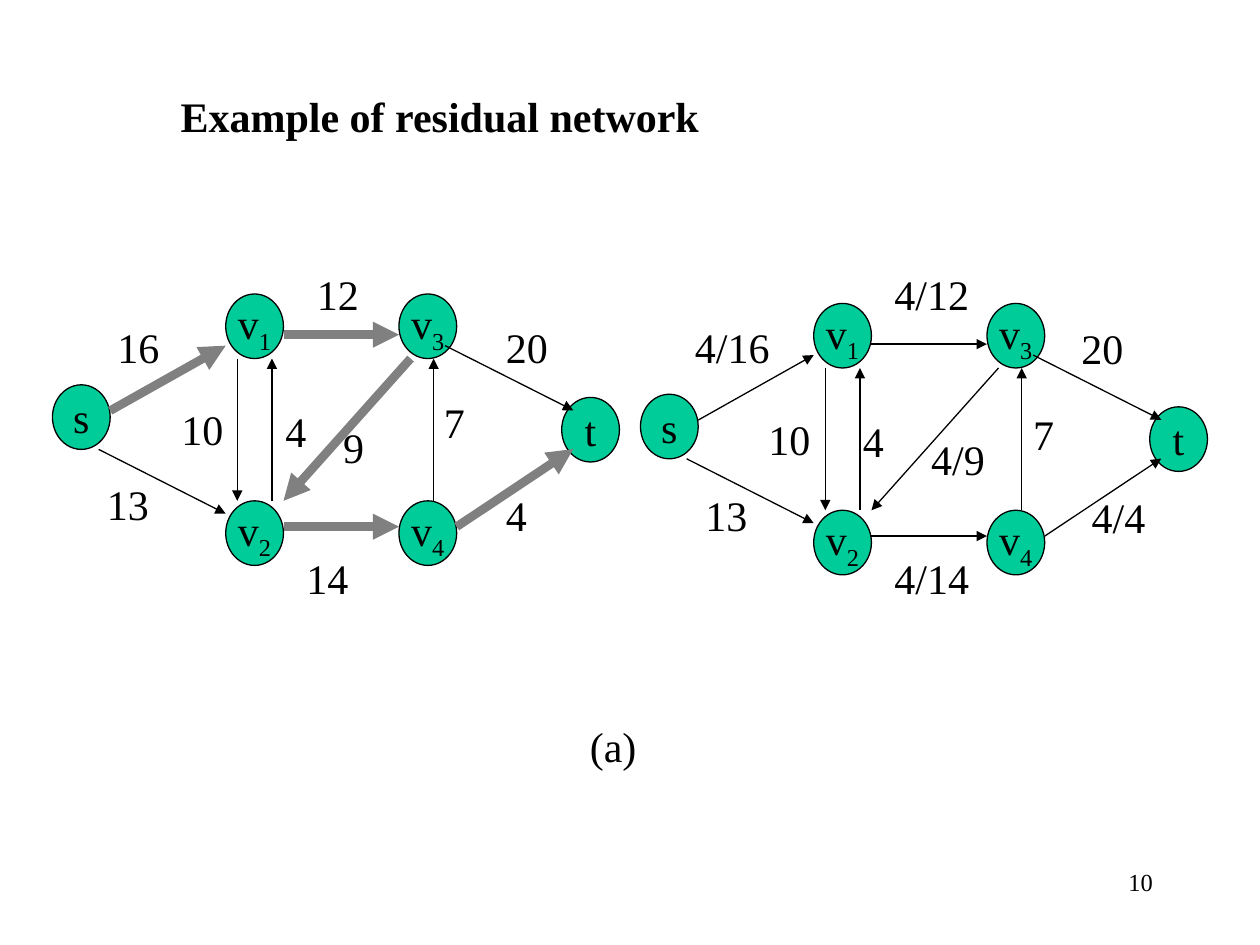
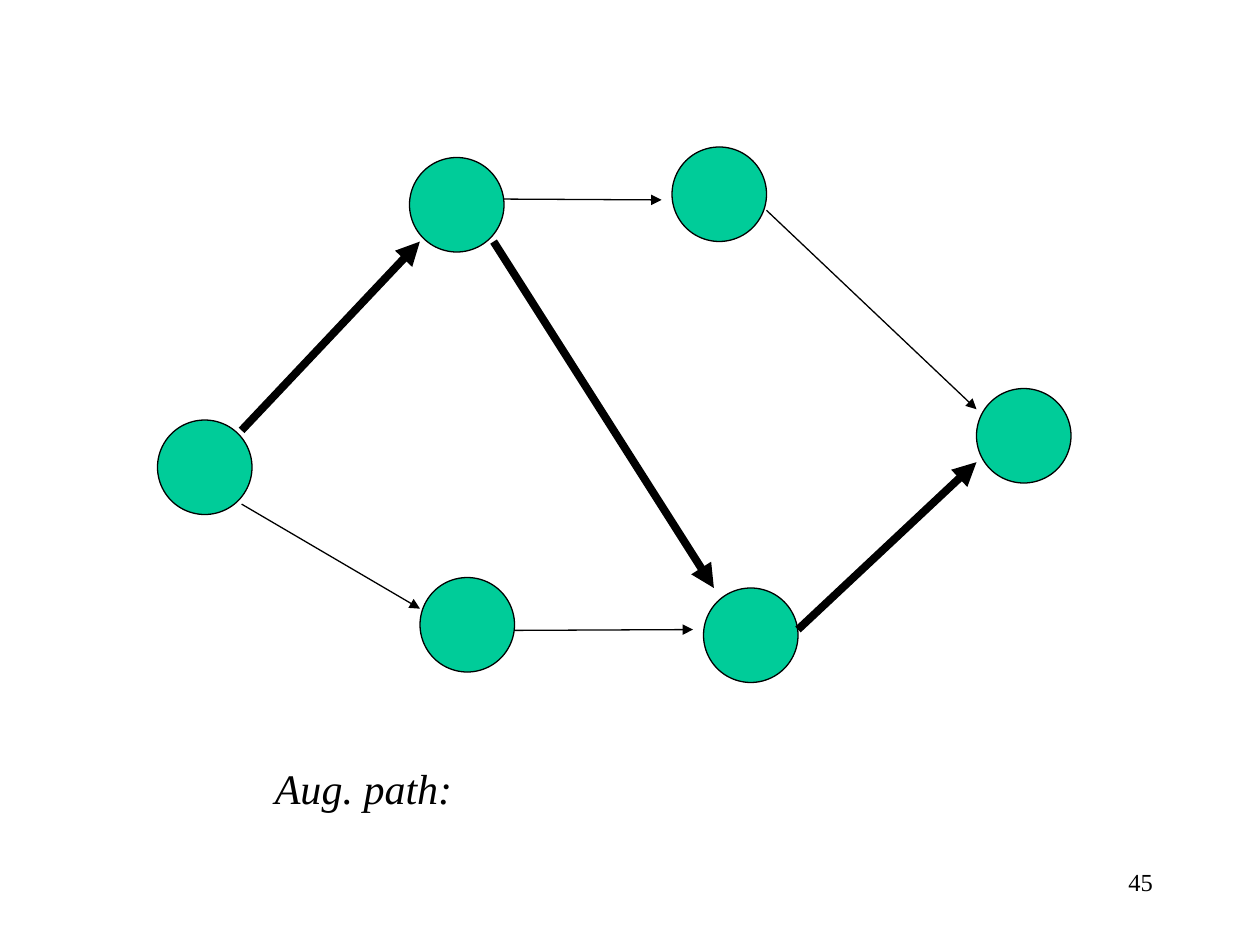
from lxml import etree
from pptx import Presentation
from pptx import util as u
from pptx.dml import color
from pptx.enum import shapes, text
from pptx.oxml import ns

COLS, ROWS = 120, 90
HUES = {"ink": "000000", "node": "00CC99", "path": "808080"}
FONT = {"name": "Times New Roman", "size": u.Pt(24)}
LEFT, MID, RIGHT = text.PP_ALIGN.LEFT, text.PP_ALIGN.CENTER, text.PP_ALIGN.RIGHT
TOP, CORE = text.MSO_ANCHOR.TOP, text.MSO_ANCHOR.MIDDLE
PADS = {"margin_left": u.Inches(0.1), "margin_right": u.Inches(0.1),
        "margin_top": u.Inches(0.05), "margin_bottom": u.Inches(0.05),
        "auto_size": text.MSO_AUTO_SIZE.NONE}

deck = Presentation()
deck.slide_width, deck.slide_height = u.Inches(10), u.Inches(7.5)
CELL_W, CELL_H = deck.slide_width / COLS, deck.slide_height / ROWS

FLOW = {
    "size": (5.5, 6.15),
    "nodes": {"s": (0, 8.65), "v1": (16.5, 0), "v3": (33, 0),
              "v2": (16.5, 19.7), "v4": (33, 19.7), "t": (48.5, 9.85)},
    "edges": {("s", "v1"): (1, 0.4, 0, 0.8), ("v1", "v3"): (1, 0.63, 0, 0.63),
              ("v3", "t"): (0.8, 0.8, 0.2, 0.2), ("s", "v2"): (0.8, 1, 0, 0.2),
              ("v2", "v4"): (1, 0.4, 0, 0.4), ("v4", "t"): (1, 0.4, 0.2, 0.8),
              ("v1", "v2"): (0.2, 1, 0.2, 0), ("v2", "v1"): (0.8, 0, 0.8, 1),
              ("v4", "v3"): (0.6, 0, 0.6, 1), ("v3", "v2"): (0.2, 1, 1, 0)},
    "names": True,
}
PATH = {
    "size": (9, 9),
    "nodes": {"s": (0, 26), "v1": (24, 1), "v3": (49, 0),
              "v2": (25, 41), "v4": (52, 42), "t": (78, 23)},
    "edges": {("s", "v1"): (0.89, 0.11, 0.11, 0.89), ("s", "v2"): (0.89, 0.89, 0, 0.33),
              ("v1", "v3"): (1, 0.44, -0.11, 0.56), ("v2", "v4"): (1, 0.56, -0.11, 0.44),
              ("v1", "v4"): (0.89, 0.89, 0.11, 0), ("v3", "t"): (1, 0.67, 0, 0.22),
              ("v4", "t"): (1, 0.44, 0, 0.78)},
    "names": False,
}
CAPS = [("16", 5, 2), ("13", 4, 17), ("12", 24, -3), ("10", 11.1, 9.8), ("4", 21, 10),
        ("4", 42, 18), ("14", 23, 24), ("20", 42, 2), ("7", 36.1, 9.2), ("9", 26.5, 11.6)]
FLOWS = [("4/16", 4, 1.1), ("13", 5, 17.1), ("4/12", 23, -3.9), ("10", 11, 9.9),
         ("4", 20, 10.1), ("4/4", 41.8, 17.3), ("4/14", 23, 23.1), ("20", 40.8, 1.2),
         ("7", 36.2, 9.4), ("4/9", 26.5, 11.8)]


def hue(key):
    return color.RGBColor.from_string(HUES[key])


def spot(x, y):
    return u.Emu(round(x * CELL_W)), u.Emu(round(y * CELL_H))


def style(obj, look):
    for key, value in look.items():
        setattr(obj, key, value)


def write(shape, words, align=LEFT, anchor=TOP, wrap=False, sub="", **look):
    frame = shape.text_frame
    style(frame, PADS | {"vertical_anchor": anchor, "word_wrap": wrap})
    para = frame.paragraphs[0]
    para.alignment = align
    for part, base in ((words, 0), (sub, -25000)):
        if part:
            run = para.add_run()
            run.text = part
            style(run.font, FONT | look)
            run.font.color.rgb = hue("ink")
            if base:
                run.font._element.set("baseline", str(base))


def label(slide, box, words, **look):
    shape = slide.shapes.add_textbox(*spot(*box[:2]), *spot(*box[2:]))
    write(shape, words, **look)


def disc(slide, box, name):
    shape = slide.shapes.add_shape(shapes.MSO_SHAPE.OVAL, *spot(*box[:2]), *spot(*box[2:]))
    shape.shadow.inherit = False
    shape.fill.solid()
    shape.fill.fore_color.rgb = hue("node")
    shape.line.color.rgb = hue("ink")
    shape.line.width = u.Pt(0.75)
    if name:
        write(shape, name[0], align=MID, anchor=CORE, sub=name[1:])


def arrow(slide, start, end, tint, width):
    link = slide.shapes.add_connector(shapes.MSO_CONNECTOR.STRAIGHT, *spot(*start), *spot(*end))
    link.line.color.rgb = hue(tint)
    link.line.width = u.Pt(width)
    etree.SubElement(link.line._get_or_add_ln(), ns.qn("a:tailEnd"), type="triangle")
    etree.SubElement(link._element.spPr, ns.qn("a:effectLst"))


def graph(slide, left, top, plan, bold, tint, width):
    wide, high = plan["size"]
    nodes = {name: (left + x, top + y) for name, (x, y) in plan["nodes"].items()}
    for name, (x, y) in nodes.items():
        disc(slide, (x, y, wide, high), name if plan["names"] else "")
    for pair, (fx, fy, tx, ty) in plan["edges"].items():
        (ax, ay), (bx, by) = (nodes[name] for name in pair)
        look = (tint, width) if pair in bold else ("ink", 0.75)
        arrow(slide, (ax + fx * wide, ay + fy * high), (bx + tx * wide, by + ty * high), *look)


def costs(slide, left, top, items):
    for words, x, y in items:
        slash = words.count("/")
        wide = 2.4 + 2 * (len(words) - slash) + 1.1 * slash
        label(slide, (left + x, top + y, wide, 6), words)


def page(layout, number):
    slide = deck.slides.add_slide(deck.slide_layouts[layout])
    label(slide, (86, 82, 25, 6), number, align=RIGHT, wrap=True, size=u.Pt(14))
    return slide


def network():
    slide = page(5, "10")
    title = slide.shapes.title
    title.left, title.top = spot(16, 8)
    title.width, title.height = spot(84, 6)
    write(title, "Example of residual network", wrap=True, bold=True)
    route = {("s", "v1"), ("v1", "v3"), ("v3", "v2"), ("v2", "v4"), ("v4", "t")}
    for left, top, items, bold in ((5, 28, CAPS, route), (61, 28.9, FLOWS, ())):
        graph(slide, left, top, FLOW, bold, "path", 5)
        costs(slide, left, top, items)
    label(slide, (55, 68, 6.8, 6), "(a)")


def augment():
    slide = page(6, "45")
    route = {("s", "v1"), ("v1", "v4"), ("v4", "t")}
    graph(slide, 15, 14, PATH, route, "ink", 4.5)
    label(slide, (25, 72, 79, 6), "Aug. path:", wrap=True, italic=True)


def main():
    network()
    augment()
    deck.save("out.pptx")


if __name__ == "__main__":
    main()
